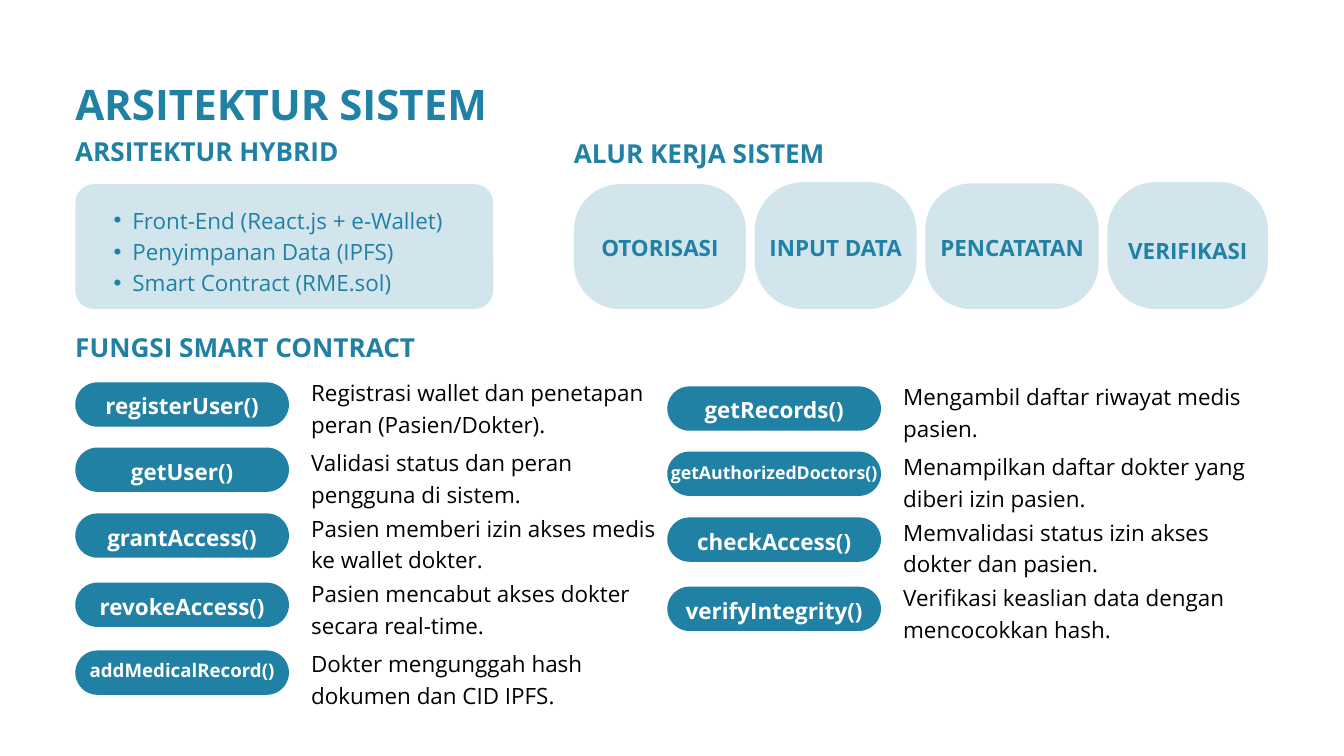
from lxml import etree
from pptx import Presentation
from pptx import util as u
from pptx.dml import color
from pptx.enum import shapes, text
from pptx.oxml import ns

PX = 9144
FONT = "Open Sans"
COLORS = {"teal": "2081A5", "white": "FFFFFF", "black": "000000"}
LEFT, CENTER, JUSTIFY = text.PP_ALIGN.LEFT, text.PP_ALIGN.CENTER, text.PP_ALIGN.JUSTIFY

HEADINGS = [
    ("ARSITEKTUR HYBRID", (112, 205, 660, 44), 31.6),
    ("ALUR KERJA SISTEM", (854, 197, 740, 53), 39.2),
    ("FUNGSI SMART CONTRACT", (112, 485, 907, 53), 39.2),
]
LAYERS = ["Front-End (React.js + e-Wallet)", "Penyimpanan Data (IPFS)", "Smart Contract (RME.sol)"]
STEPS = [
    ("OTORISASI", (854, 274, 256, 186), 69, 2),
    ("INPUT DATA", (1123, 271, 241, 189), 73, 1),
    ("PENCATATAN", (1377, 273, 258, 187), 68, 2),
    ("VERIFIKASI", (1648, 271, 239, 189), 73, -4),
]
ROWS = [(569, 558), (666, 662), (764, 760), (867, 857), (968, 961)]
COLUMNS = [
    (112, 0, [
        ("registerUser()", 24, 2, "Registrasi wallet dan penetapan peran (Pasien/Dokter)."),
        ("getUser()", 24, 1, "Validasi status dan peran pengguna di sistem."),
        ("grantAccess()", 24, 1, "Pasien memberi izin akses medis ke wallet dokter."),
        ("revokeAccess()", 24, 1, "Pasien mencabut akses dokter secara real-time."),
        ("addMedicalRecord()", 20, 7, "Dokter mengunggah hash dokumen dan CID IPFS."),
    ]),
    (993, 6, [
        ("getRecords()", 24, 2, "Mengambil daftar riwayat medis pasien."),
        ("getAuthorizedDoctors()", 19, 4, "Menampilkan daftar dokter yang diberi izin pasien."),
        ("checkAccess()", 24, 1, "Memvalidasi status izin akses dokter dan pasien."),
        ("verifyIntegrity()", 24, 1, "Verifikasi keaslian data dengan mencocokkan hash."),
    ]),
]


def px(value):
    """Turn whole px into EMU."""
    return u.Emu(value * PX)


def rgb(name):
    """Look up a named colour."""
    return color.RGBColor.from_string(COLORS[name])


def assign(target, values):
    """Set every attribute in a dict of format values."""
    for name, value in values.items():
        setattr(target, name, value)


def place(box, area):
    """Move and size a box in px."""
    assign(box, dict(zip(("left", "top", "width", "height"), map(px, area))))


def add_bullet(para):
    """Give a paragraph a hanging round bullet."""
    properties = para._p.get_or_add_pPr()
    properties.set("marL", str(px(57)))
    properties.set("indent", str(px(-28)))
    etree.SubElement(properties, ns.qn("a:buChar"), char="•")


def write(box, lines, size, ink, bold=False, align=LEFT, spacing=None, lift=0,
          anchor=text.MSO_ANCHOR.TOP, bullets=False, wrap=True):
    """Fill a box with uniformly formatted paragraphs."""
    frame = box.text_frame
    assign(frame, {
        "word_wrap": wrap, "auto_size": text.MSO_AUTO_SIZE.NONE, "vertical_anchor": anchor,
        "margin_left": 0, "margin_right": 0,
        "margin_top": px(max(0, -2 * lift)), "margin_bottom": px(max(0, 2 * lift)),
    })
    frame.text = "\n".join(lines)
    for para in frame.paragraphs:
        assign(para, {"alignment": align, "space_before": u.Pt(0),
                      "line_spacing": u.Pt(spacing or size * 1.4)})
        if bullets:
            add_bullet(para)
        for span in para.runs:
            assign(span.font, {"name": FONT, "size": u.Pt(size), "bold": bold})
            span.font.color.rgb = rgb(ink)


def add_text(page, line, area, size, ink, **style):
    """Add a text box holding one paragraph."""
    box = page.shapes.add_textbox(*map(px, area))
    write(box, [line], size, ink, **style)


def add_rounded(page, area, radius, alpha=100):
    """Add a teal rounded rectangle."""
    box = page.shapes.add_shape(shapes.MSO_SHAPE.ROUNDED_RECTANGLE, *map(px, area))
    box.adjustments[0] = radius / min(area[2:])
    box.shadow.inherit = False
    box.line.fill.background()
    box.fill.solid()
    box.fill.fore_color.rgb = rgb("teal")
    if alpha < 100:
        tint = box._element.spPr.find(ns.qn("a:solidFill"))[0]
        etree.SubElement(tint, ns.qn("a:alpha"), val=str(alpha * 1000))
    return box


def add_label(page, line, area, radius, size, ink, lift, alpha=100):
    """Add a rounded rectangle with a bold centred one-line label."""
    box = add_rounded(page, area, radius, alpha)
    write(box, [line], size, ink, bold=True, align=CENTER, lift=lift,
          anchor=text.MSO_ANCHOR.MIDDLE, wrap=False)


def add_functions(page, left, drop, entries):
    """Add one column of function pills with their descriptions."""
    for (pill_top, note_top), (name, size, lift, note) in zip(ROWS, entries):
        add_label(page, name, (left, pill_top + drop, 318, 66), 33, size, "white", lift)
        add_text(page, note, (left + 351, note_top + drop, 544, 89), 24, "black")


def main():
    """Build the system architecture slide."""
    deck = Presentation()
    assign(deck, {"slide_width": px(2000), "slide_height": px(1125)})
    page = deck.slides.add_slide(deck.slide_layouts[1])
    title, layers = page.placeholders
    place(title, (112, 104, 734, 82))
    write(title, ["ARSITEKTUR SISTEM"], 45, "teal", bold=True)
    place(layers, (140, 301, 573, 135))
    write(layers, LAYERS, 24, "teal", align=JUSTIFY, bullets=True)
    panel = add_rounded(page, (112, 274, 622, 186), 28, alpha=20)
    layers._element.addprevious(panel._element)
    for line, area, spacing in HEADINGS:
        add_text(page, line, area, 28, "teal", bold=True, spacing=spacing)
    for line, area, radius, lift in STEPS:
        add_label(page, line, area, radius, 24, "teal", lift, alpha=20)
    for left, drop, entries in COLUMNS:
        add_functions(page, left, drop, entries)
    deck.save("out.pptx")


if __name__ == "__main__":
    main()
